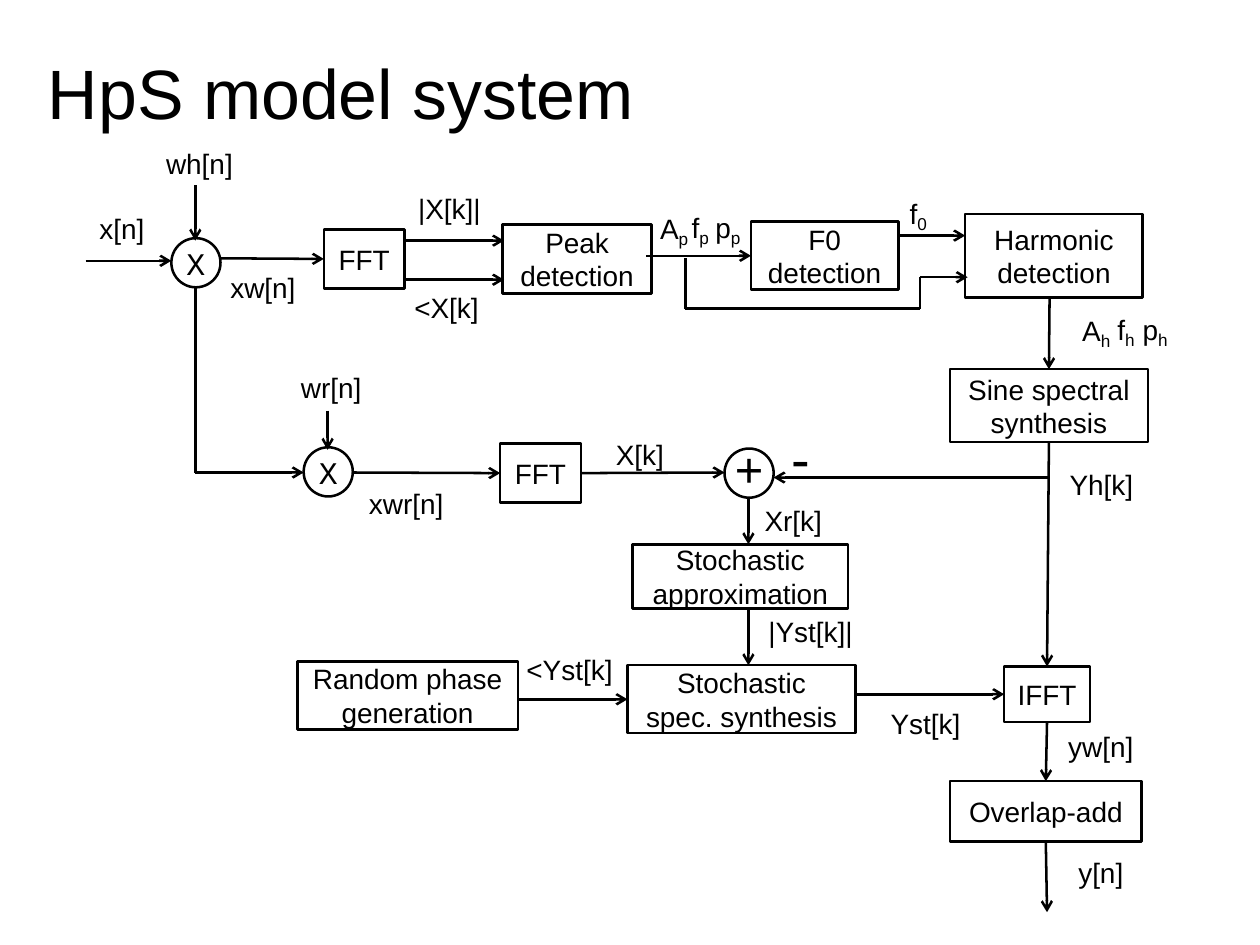
from collections import namedtuple

from lxml import etree
from pptx import Presentation
from pptx.dml.color import RGBColor
from pptx.enum.shapes import MSO_CONNECTOR, MSO_SHAPE
from pptx.enum.text import MSO_ANCHOR, MSO_AUTO_SIZE, PP_ALIGN
from pptx.oxml.ns import qn
from pptx.util import Inches, Pt

RECTANGLE, ELLIPSE = MSO_SHAPE.RECTANGLE, MSO_SHAPE.OVAL
STRAIGHT = MSO_CONNECTOR.STRAIGHT
MIDDLE, TOP_ANCHOR = MSO_ANCHOR.MIDDLE, MSO_ANCHOR.TOP
CENTER, LEFT_ALIGN = PP_ALIGN.CENTER, PP_ALIGN.LEFT
GROW = MSO_AUTO_SIZE.SHAPE_TO_FIT_TEXT
TOP, LEFT, BOTTOM, RIGHT = range(4)

COLORS = {"ink": "000000", "paper": "FFFFFF"}
WIDTH, HEIGHT = Inches(10), Inches(7.5)
COLUMN, ROW = WIDTH / 100, HEIGHT / 75
LINE_WIDTH = Pt(1.45)
CIRCLE = 3.9
LABEL_HEIGHT, SUBSCRIPT_HEIGHT = 4.1, 4.4

Box = namedtuple("Box", "left top width height")


def ink():
    return RGBColor.from_string(COLORS["ink"])


def position(box, column, row):
    return round((box.left + column) * COLUMN), round((box.top + row) * ROW)


def frame(box, column, row, width, height):
    return *position(box, column, row), round(width * COLUMN), round(height * ROW)


def write_text(shape, text, size=16, font="Arial", align=LEFT_ALIGN, anchor=TOP_ANCHOR,
               insets=(0.1, 0.05), wrap=True, spacing=None, subscript=None):
    text_frame = shape.text_frame
    text_frame.word_wrap = wrap
    text_frame.vertical_anchor = anchor
    text_frame.margin_left = text_frame.margin_right = Inches(insets[0])
    text_frame.margin_top = text_frame.margin_bottom = Inches(insets[1])
    for index, line in enumerate(text.split("\n")):
        paragraph = text_frame.add_paragraph() if index else text_frame.paragraphs[0]
        paragraph.alignment = align
        if spacing:
            paragraph.line_spacing = spacing
        parts = [(line, size)] + ([(subscript, 16.8)] if subscript else [])
        for part, part_size in parts:
            run = paragraph.add_run()
            run.text = part
            run.font.size = Pt(part_size)
            run.font.name = font
            run.font.color.rgb = ink()
        if subscript:
            run.font._element.set("baseline", "-20000")


def add_outlined(slide, kind, place):
    shape = slide.shapes.add_shape(kind, *place)
    shape.shadow.inherit = False
    shape.fill.background()
    shape.line.color.rgb = ink()
    shape.line.width = LINE_WIDTH
    return shape


def add_block(slide, box, text, *place):
    shape = add_outlined(slide, RECTANGLE, frame(box, *place))
    write_text(shape, text, align=CENTER, anchor=MIDDLE)
    return shape


def add_operator(slide, box, text, column, row, **text_format):
    shape = add_outlined(slide, ELLIPSE, frame(box, column, row, CIRCLE, CIRCLE))
    write_text(shape, text, align=CENTER, anchor=MIDDLE, insets=(0, 0), wrap=False, **text_format)


def add_label(slide, box, text, column, row, width, height=LABEL_HEIGHT, **text_format):
    label = slide.shapes.add_textbox(*frame(box, column, row, width, height))
    write_text(label, text, wrap=False, **text_format)
    label.text_frame.auto_size = GROW


def add_labels(slide, box, labels):
    for label in labels:
        add_label(slide, box, *label)


def add_variables(slide, box, variables):
    for text, subscript, *place in variables:
        add_label(slide, box, text, *place, SUBSCRIPT_HEIGHT, subscript=subscript)


def add_line(slide, box, start, end, arrow=True):
    joined = [not isinstance(point[0], (int, float)) for point in (start, end)]
    ends = [(0, 0) if glued else position(box, *point)
            for glued, point in zip(joined, (start, end))]
    connector = slide.shapes.add_connector(STRAIGHT, *ends[0], *ends[1])
    if joined[0]:
        connector.begin_connect(*start)
    if joined[1]:
        connector.end_connect(*end)
    connector.line.color.rgb = ink()
    connector.line.width = LINE_WIDTH
    properties = connector._element.spPr
    if arrow:
        etree.SubElement(properties.find(qn("a:ln")), qn("a:tailEnd"), type="arrow")
    etree.SubElement(properties, qn("a:effectLst"))


def add_route(slide, box, points):
    for index, (start, end) in enumerate(zip(points, points[1:])):
        add_line(slide, box, start, end, arrow=index == len(points) - 2)


def add_lines(slide, box, lines):
    for start, end in lines:
        add_line(slide, box, start, end)


def build_title(slide, box):
    title = slide.shapes.add_textbox(*frame(box, 0, 0, box.width, box.height))
    write_text(title, "HpS model system", size=39.9, anchor=MIDDLE, insets=(0, 0))


def build_harmonic_analysis(slide, box):
    add_operator(slide, box, "X", 8.6, 8.9, size=18, font="Courier New")
    fft = add_block(slide, box, "FFT", 20.7, 8.2, 6.4, 4.7)
    add_block(slide, box, "Peak detection", 34.9, 7.8, 11.8, 5.5)
    pitch = add_block(slide, box, "F0\ndetection", 54.6, 7.6, 11.7, 5.4)
    add_block(slide, box, "Harmonic\ndetection", 71.6, 7, 14.1, 6.6)
    add_lines(slide, box, [
        ((1.8, 10.7), (8.6, 10.7)),
        ((10.5, 4.7), (10.5, 9.1)),
        ((12.5, 10.5), (fft, LEFT)),
        ((27.1, 9.1), (35, 9.1)),
        ((27.1, 12.2), (35, 12.2)),
        ((46.3, 10.3), (pitch, LEFT)),
        ((66.3, 8.7), (71.6, 8.7)),
    ])
    add_route(slide, box, [(49.4, 10.5), (49.4, 14.5), (68, 14.5), (68, 12), (71.8, 12)])
    add_labels(slide, box, [
        ("wh[n]", 7.2, 1.1, 8.6),
        ("x[n]", 1.9, 6.3, 6.5),
        ("xw[n]", 12.3, 11, 8.4),
        ("|X[k]|", 27.2, 4.7, 8.2),
        ("<X[k]", 26.9, 12.6, 8.4),
    ])
    add_variables(slide, box, [
        ("A", "p", 46.4, 6.2, 4.8),
        ("f", "p", 48.9, 6.1, 3.8),
        ("p", "p", 50.8, 6.1, 4.5),
        ("f", "0", 66.2, 5, 3.8),
    ])


def build_residual(slide, box):
    add_operator(slide, box, "X", 9.1, 13.5, size=18, font="Courier New")
    add_operator(slide, box, "+", 42.5, 13.6, size=27.9, spacing=0.8)
    fft = add_block(slide, box, "FFT", 24.7, 13.2, 6.4, 4.7)
    add_route(slide, box, [(0.5, 0.8), (0.5, 15.5), (9.1, 15.5)])
    add_lines(slide, box, [
        ((11, 10.6), (11, 13.7)),
        ((13, 15.5), (fft, LEFT)),
        ((fft, RIGHT), (42.5, 15.5)),
        ((68.3, 15.9), (46.4, 15.9)),
    ])
    add_labels(slide, box, [
        ("wr[n]", 7.9, 6.9, 8),
        ("xwr[n]", 13.3, 16.1, 9.3),
        ("X[k]", 32.9, 12.2, 8.4),
    ])
    add_label(slide, box, "-", 46.8, 11.1, 5.3, 6.4, size=32)


def build_output(slide, box):
    sine = add_block(slide, box, "Sine spectral\nsynthesis", 0.4, 6.3, 15.7, 5.8)
    inverse = add_block(slide, box, "IFFT", 4.7, 29.9, 6.8, 4.4)
    overlap = add_block(slide, box, "Overlap-add", 0.4, 39, 15.2, 4.8)
    add_lines(slide, box, [
        ((8.3, 0.7), (sine, TOP)),
        ((sine, BOTTOM), (inverse, TOP)),
        ((inverse, BOTTOM), (overlap, TOP)),
        ((overlap, BOTTOM), (8.1, 49.4)),
    ])
    add_labels(slide, box, [
        ("Yh[k]", 8.9, 13.6, 8.3),
        ("yw[n]", 8.8, 34.4, 8.4),
        ("y[n]", 9.6, 44.4, 6.5),
    ])
    add_variables(slide, box, [
        ("A", "h", 9.9, 1.3, 4.8),
        ("f", "h", 12.7, 1.2, 3.8),
        ("p", "h", 14.7, 1.2, 4.5),
    ])
    return inverse


def build_stochastic(slide, box, inverse):
    add_block(slide, box, "Random phase generation", 3.6, 13.5, 17.5, 5.4)
    synthesis = add_block(slide, box, "Stochastic spec. synthesis", 29.8, 13.8, 18.1, 5.4)
    add_block(slide, box, "Stochastic approximation", 30.2, 4.2, 17.1, 5.1)
    add_lines(slide, box, [
        ((39.4, 0.5), (39.4, 4.2)),
        ((39.4, 9.3), (39.4, 13.8)),
        ((21.1, 16.5), (synthesis, LEFT)),
        ((48, 16.1), (inverse, LEFT)),
    ])
    add_labels(slide, box, [
        ("Xr[k]", 39.7, 0.5, 8.4),
        ("|Yst[k]|", 40, 9.3, 10.3),
        ("<Yst[k]", 20.8, 12.3, 10.5),
        ("Yst[k]", 49.7, 16.6, 8.9),
    ])


def main():
    presentation = Presentation()
    presentation.slide_width, presentation.slide_height = WIDTH, HEIGHT
    slide = presentation.slides.add_slide(presentation.slide_layouts[6])
    slide.background.fill.solid()
    slide.background.fill.fore_color.rgb = RGBColor.from_string(COLORS["paper"])
    build_title(slide, Box(3.8, 1, 90, 12.5))
    build_harmonic_analysis(slide, Box(5, 10, 86, 17))
    build_residual(slide, Box(15, 22, 69, 21))
    inverse = build_output(slide, Box(75, 23, 20, 50))
    build_stochastic(slide, Box(20, 39, 59, 21), inverse)
    presentation.save("out.pptx")


if __name__ == "__main__":
    main()
